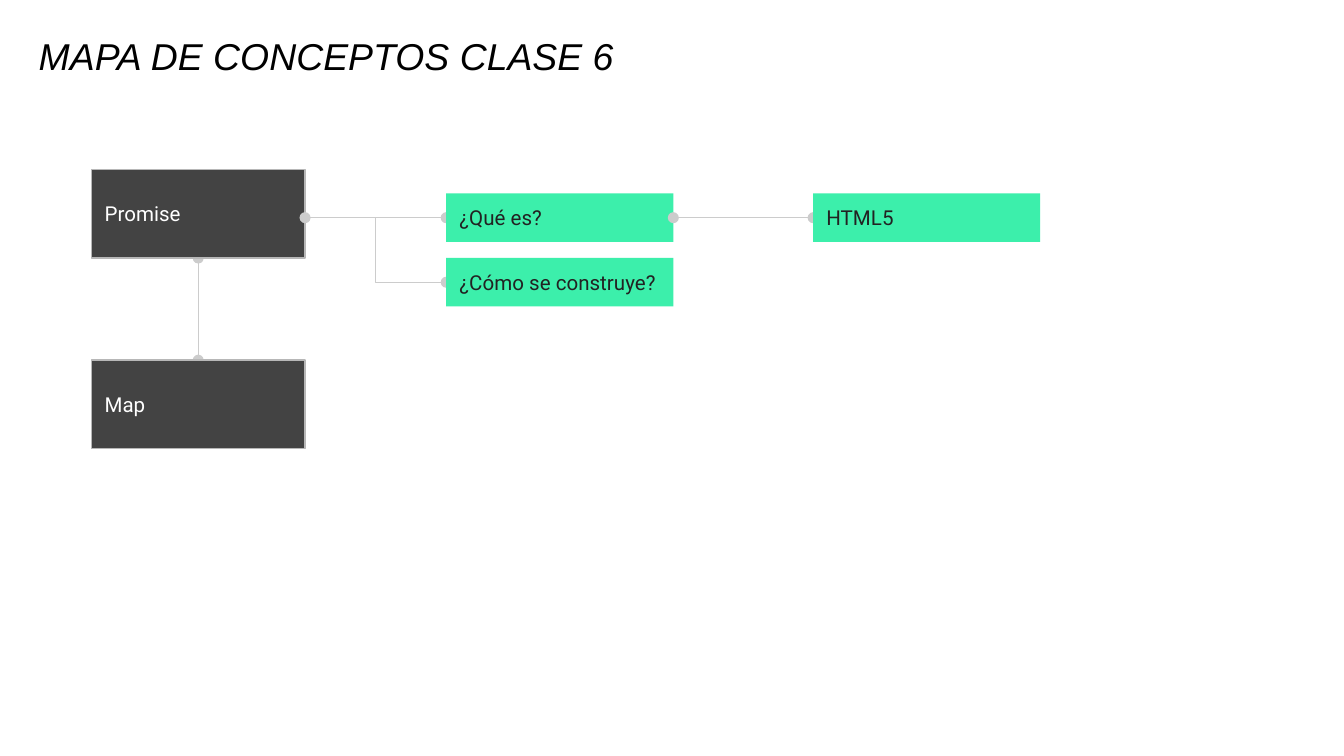
from lxml.etree import SubElement
from pptx import Presentation
from pptx.dml.color import RGBColor
from pptx.enum.shapes import MSO_CONNECTOR as Link, MSO_SHAPE as Shape
from pptx.enum.text import MSO_ANCHOR as Anchor, PP_ALIGN as Align
from pptx.oxml.ns import qn
from pptx.util import Inches, Pt

TOP, LEFT, BOTTOM, RIGHT = range(4)
CONCEPT_W, CONCEPT_H, CONCEPT_STEP = 1.59, 0.66, 1.42
TOPIC_W, TOPIC_H = 1.69, 0.36
TOPIC_STEP_X, TOPIC_STEP_Y = 2.73, 0.48
GAP = 1.05
TOPIC_DROP = 0.18


def color(hex_string):
    return RGBColor.from_string(hex_string)


def write(shape, text, size, font, ink, anchor, italic=False):
    frame = shape.text_frame
    frame.word_wrap = True
    frame.vertical_anchor = anchor
    frame.margin_left = frame.margin_right = Inches(0.1)
    frame.margin_top = frame.margin_bottom = Inches(0.1)
    frame.text = text
    paragraph = frame.paragraphs[0]
    paragraph.alignment = Align.LEFT
    run_font = paragraph.runs[0].font
    run_font.size = Pt(size)
    run_font.name = font
    run_font.italic = italic
    run_font.color.rgb = color(ink)


def add_box(slide, left, top, width, height, text, fill, ink, border=None):
    box = slide.shapes.add_shape(
        Shape.RECTANGLE, Inches(left), Inches(top), Inches(width), Inches(height))
    box.shadow.inherit = False
    box.fill.solid()
    box.fill.fore_color.rgb = color(fill)
    if border:
        box.line.color.rgb = color(border)
        box.line.width = Pt(0.75)
    else:
        box.line.fill.background()
    write(box, text, 11, "Roboto", ink, Anchor.MIDDLE)
    return box


def add_concept(slide, left, top, text):
    return add_box(slide, left, top, CONCEPT_W, CONCEPT_H, text,
                   "434343", "FFFFFF", "B7B7B7")


def add_topic(slide, left, top, text):
    return add_box(slide, left, top, TOPIC_W, TOPIC_H, text, "3CEFAB", "222222")


def add_link(slide, x1, y1, x2, y2, kind=Link.STRAIGHT, ends=("headEnd", "tailEnd")):
    link = slide.shapes.add_connector(
        kind, Inches(x1), Inches(y1), Inches(x2), Inches(y2))
    link.line.color.rgb = color("CCCCCC")
    link.line.width = Pt(0.75)
    properties = link._element.spPr
    for end in ends:
        SubElement(properties.find(qn("a:ln")), qn(f"a:{end}"), type="oval")
    SubElement(properties, qn("a:effectLst"))
    return link


def add_title(slide, left, top, width, height):
    title = slide.shapes.add_textbox(
        Inches(left), Inches(top), Inches(width), Inches(height))
    write(title, "MAPA DE CONCEPTOS CLASE 6", 20, "Arial", "000000",
          Anchor.BOTTOM, italic=True)


def add_concepts(slide, left, top):
    middle = left + CONCEPT_W / 2
    map_top = top + CONCEPT_STEP
    link = add_link(slide, middle, top + CONCEPT_H, middle, map_top)
    map_box = add_concept(slide, left, map_top, "Map")
    promise_box = add_concept(slide, left, top, "Promise")
    link.begin_connect(promise_box, BOTTOM)
    link.end_connect(map_box, TOP)


def add_topics(slide, left, top):
    topic_left = left + GAP
    detail_left = topic_left + TOPIC_STEP_X
    axis = top + TOPIC_H / 2

    what_link = add_link(slide, left, axis, topic_left, axis)
    what_box = add_topic(slide, topic_left, top, "¿Qué es?")
    what_link.end_connect(what_box, LEFT)

    add_link(slide, left, axis, topic_left, axis + TOPIC_STEP_Y,
             Link.ELBOW, ("tailEnd",))
    add_topic(slide, topic_left, top + TOPIC_STEP_Y, "¿Cómo se construye?")

    detail_link = add_link(slide, topic_left + TOPIC_W, axis, detail_left, axis)
    detail_box = add_topic(slide, detail_left, top, "HTML5")
    detail_link.begin_connect(what_box, RIGHT)
    detail_link.end_connect(detail_box, LEFT)


def main():
    deck = Presentation()
    deck.slide_width = Inches(10)
    deck.slide_height = deck.slide_width * 9 // 16
    slide = deck.slides.add_slide(deck.slide_layouts[6])
    left, top = 0.68, 1.26
    add_title(slide, 0.19, 0.22, 8.26, 0.46)
    add_concepts(slide, left, top)
    add_topics(slide, left + CONCEPT_W, top + TOPIC_DROP)
    deck.save("out.pptx")


if __name__ == "__main__":
    main()
